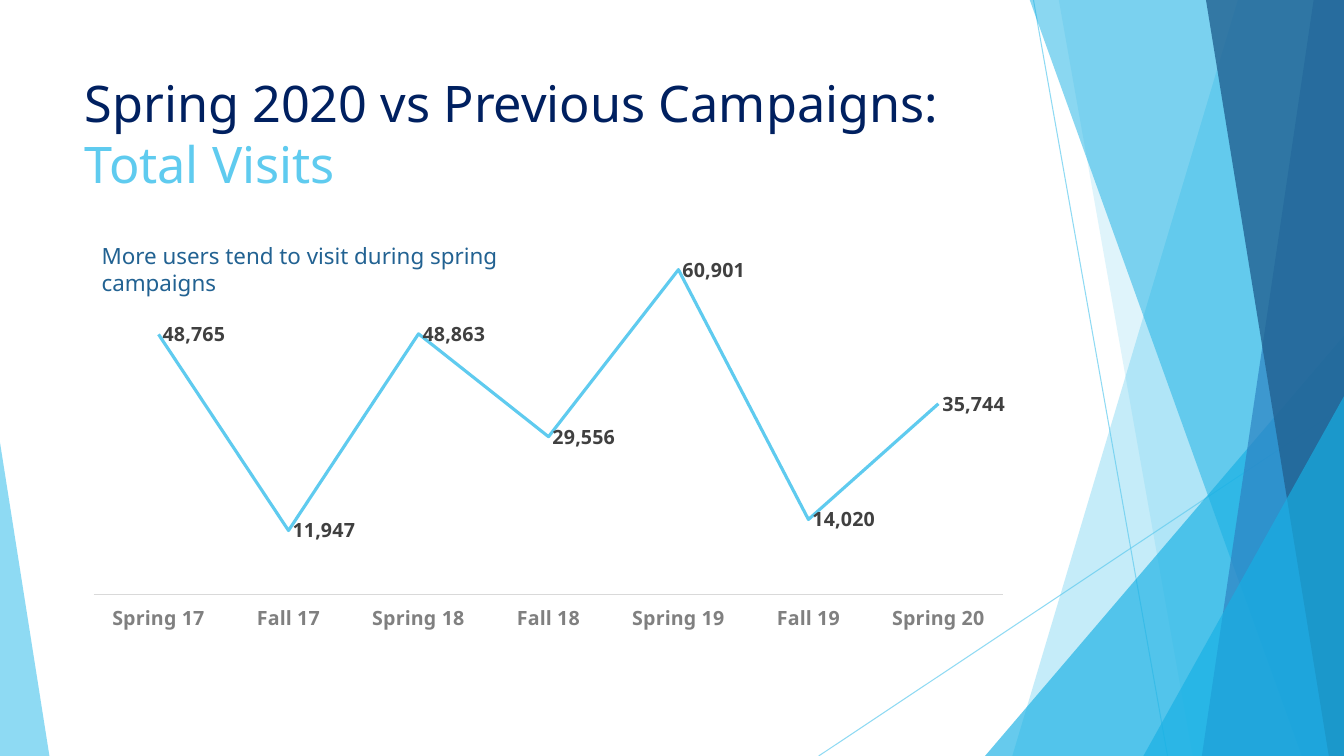
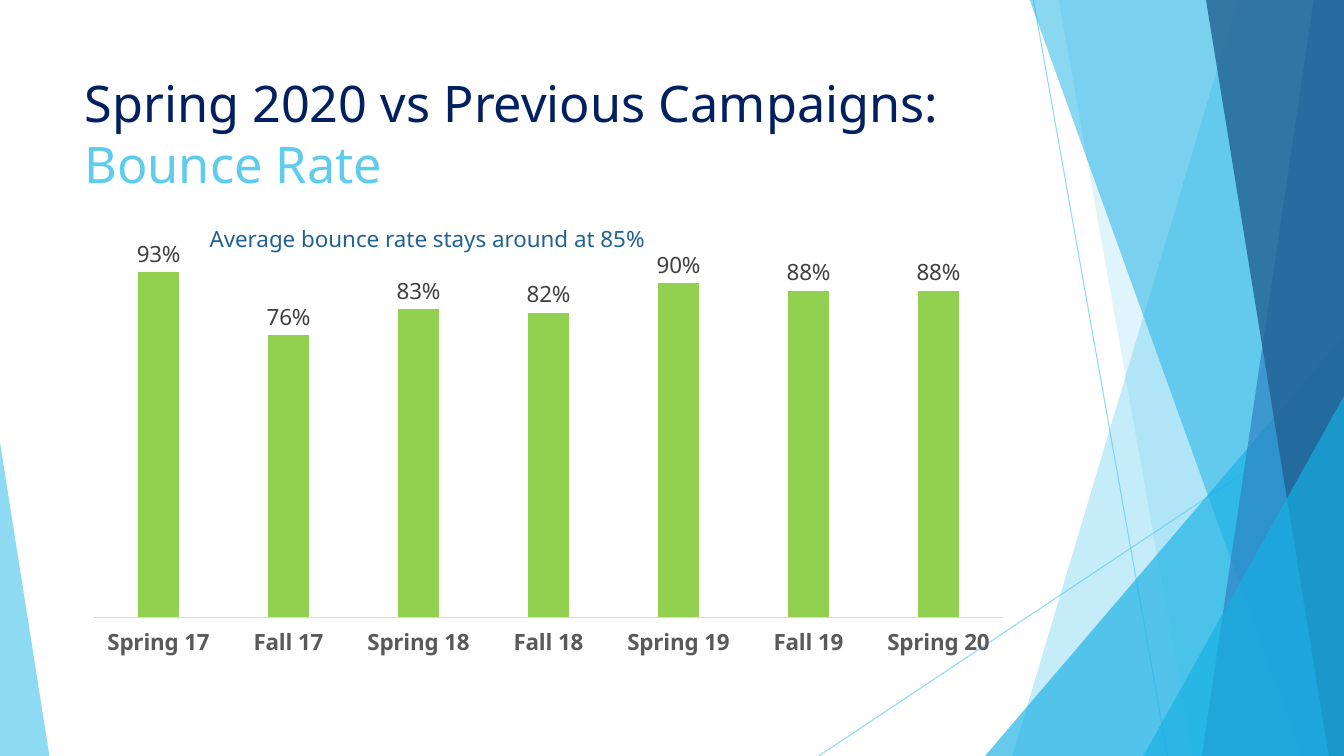
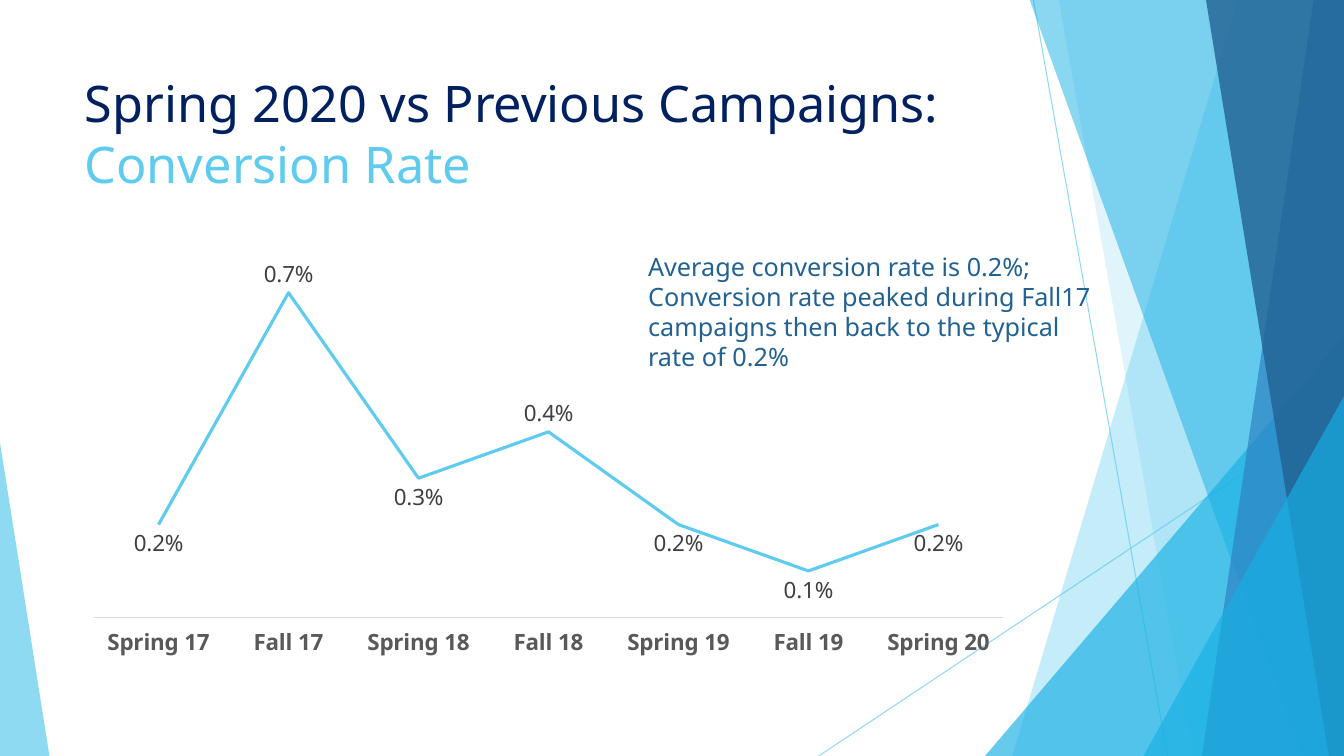
from lxml.etree import SubElement
from pptx import Presentation
from pptx.chart.data import CategoryChartData
from pptx.dml.color import RGBColor
from pptx.enum.chart import XL_CHART_TYPE, XL_LABEL_POSITION, XL_TICK_LABEL_POSITION, XL_TICK_MARK
from pptx.enum.shapes import MSO_CONNECTOR, MSO_SHAPE
from pptx.oxml.ns import qn
from pptx.util import Inches, Pt

FONT = "Noto Sans"
WHITE = RGBColor(0xFF, 0xFF, 0xFF)
NAVY = RGBColor(0x00, 0x20, 0x60)
SKY = RGBColor(0x5F, 0xCB, 0xEF)
CYAN = RGBColor(0x17, 0xB0, 0xE4)
BLUE = RGBColor(0x2E, 0x83, 0xC3)
DEEP_BLUE = RGBColor(0x22, 0x62, 0x92)
GREEN = RGBColor(0x92, 0xD0, 0x50)
LABEL_GRAY = RGBColor(0x40, 0x40, 0x40)
AXIS_GRAY = RGBColor(0x59, 0x59, 0x59)
LIGHT_AXIS_GRAY = RGBColor(0x80, 0x80, 0x80)
AXIS_LINE = RGBColor(0xD9, 0xD9, 0xD9)

WIDTH, HEIGHT, BAND_TOP = 13.33, 7.5, -0.01
CAMPAIGNS = ["Spring 17", "Fall 17", "Spring 18", "Fall 18", "Spring 19", "Fall 19", "Spring 20"]


def format_font(font, size, color, bold=False):
    """Apply the deck font with a size, colour and weight."""
    font.name, font.size, font.bold = FONT, Pt(size), bold
    font.color.rgb = color


def add_run(paragraph, text, size=16, color=DEEP_BLUE):
    """Add formatted text to a paragraph."""
    paragraph.line_spacing = Pt(size * 1.2)
    run = paragraph.add_run()
    run.text = text
    format_font(run.font, size, color)


def set_opacity(shape, percent):
    """Make the colours set so far on a shape translucent."""
    for color in shape._element.spPr.iter(qn("a:srgbClr")):
        SubElement(color, qn("a:alpha")).set("val", str(percent * 1000))


class Deck:
    """Hold the presentation style and the current slide."""

    def __init__(self):
        """Start an empty widescreen presentation."""
        self.presentation = Presentation()
        self.presentation.slide_width = Inches(WIDTH)
        self.presentation.slide_height = Inches(HEIGHT)
        self.slide = None

    def add_slide(self, subject):
        """Start a slide with the shared decoration and title."""
        self.slide = self.presentation.slides.add_slide(self.presentation.slide_layouts[6])
        self.slide.background.fill.solid()
        self.slide.background.fill.fore_color.rgb = WHITE
        self.decorate()
        paragraph = self.text_frame(0.74, 0.67, 9.4, 1.44).paragraphs[0]
        add_run(paragraph, "Spring 2020 vs Previous Campaigns:", size=36, color=NAVY)
        paragraph.add_line_break()
        add_run(paragraph, subject, size=36, color=SKY)

    def decorate(self):
        """Draw the translucent facets from back to front."""
        self.line(10.25, 0, 11.58, HEIGHT)
        self.line(WIDTH, 4.03, 8.12, HEIGHT)
        self.band(12.28, 10.04, SKY, 36)
        self.band(10.5, 11.83, SKY, 20)
        self.triangle(9.77, 3.33, 3.56, CYAN, 66)
        self.band(10.21, 12.91, CYAN, 50)
        self.band(13.03, 11.92, BLUE, 70)
        self.band(11.96, 13.18, DEEP_BLUE, 80)
        self.triangle(11.34, 3.93, 1.99, CYAN, 66)
        self.triangle(0, 4.39, 0.49, SKY, 70, apex=0)

    def line(self, *ends):
        """Draw a thin translucent line."""
        connector = self.slide.shapes.add_connector(MSO_CONNECTOR.STRAIGHT, *map(Inches, ends))
        connector.line.color.rgb = SKY
        connector.line.width = Pt(0.75)
        set_opacity(connector, 70)
        SubElement(connector._element.spPr, qn("a:effectLst"))

    def paint(self, shape, color, opacity):
        """Give a shape a flat translucent fill and no outline."""
        shape.shadow.inherit = False
        shape.fill.solid()
        shape.fill.fore_color.rgb = color
        set_opacity(shape, opacity)
        shape.line.fill.background()

    def band(self, top_left, bottom_left, color, opacity):
        """Draw a full-height band with a slanted left edge."""
        corners = [(WIDTH, BAND_TOP), (WIDTH, HEIGHT), (bottom_left, HEIGHT)]
        builder = self.slide.shapes.build_freeform(Inches(top_left), Inches(BAND_TOP))
        builder.add_line_segments([(Inches(x), Inches(y)) for x, y in corners], close=True)
        self.paint(builder.convert_to_shape(), color, opacity)

    def triangle(self, left, top, width, color, opacity, apex=1):
        """Draw a right triangle that stands on the slide bottom."""
        box = map(Inches, (left, top, width, HEIGHT - top))
        shape = self.slide.shapes.add_shape(MSO_SHAPE.ISOSCELES_TRIANGLE, *box)
        shape.adjustments[0] = apex
        self.paint(shape, color, opacity)

    def text_frame(self, *box):
        """Add a wrapping text box and return its frame."""
        frame = self.slide.shapes.add_textbox(*map(Inches, box)).text_frame
        frame.word_wrap = True
        return frame

    def note(self, lines, left, top, width, height, size=16):
        """Add a comment with one paragraph per line."""
        frame = self.text_frame(left, top, width, height)
        for index, text in enumerate(lines):
            paragraph = frame.add_paragraph() if index else frame.paragraphs[0]
            add_run(paragraph, text, size=size)

    def chart(self, kind, values, number_format, maximum, top=2.36, size=16,
              axis_color=AXIS_GRAY, bold_labels=False, position=None, raised=()):
        """Add a one-series campaign chart with value labels."""
        data = CategoryChartData(number_format=number_format)
        data.categories = CAMPAIGNS
        data.add_series("Series 1", values)
        box = map(Inches, (0.74, top, 9.4, 4.24))
        chart = self.slide.shapes.add_chart(kind, *box, data).chart
        chart.has_legend = chart.has_title = False
        chart.font.name, chart.font.size = FONT, Pt(10)

        chart.value_axis.visible = False
        chart.value_axis.has_major_gridlines = False
        chart.value_axis.minimum_scale, chart.value_axis.maximum_scale = 0, maximum
        axis = chart.category_axis
        axis.major_tick_mark = axis.minor_tick_mark = XL_TICK_MARK.NONE
        axis.tick_label_position = XL_TICK_LABEL_POSITION.LOW
        axis.format.line.color.rgb = AXIS_LINE
        axis.format.line.width = Pt(0.75)
        format_font(axis.tick_labels.font, size, axis_color, bold=True)

        plot = chart.plots[0]
        plot.vary_by_categories = False
        series = plot.series[0]
        if kind == XL_CHART_TYPE.LINE:
            series.smooth = False
            series.format.line.color.rgb = SKY
            series.format.line.width = Pt(2.25)
        else:
            plot.gap_width = 219
            series.format.fill.solid()
            series.format.fill.fore_color.rgb = GREEN

        labels = series.data_labels
        labels.show_value = True
        labels.number_format, labels.number_format_is_linked = number_format, False
        format_font(labels.font, size, LABEL_GRAY, bold=bold_labels)
        if position is not None:
            labels.position = position
        for index in raised:
            label = series.points[index].data_label
            format_font(label.font, size, LABEL_GRAY)
            label.position = XL_LABEL_POSITION.ABOVE


def main():
    """Build and save the campaign slides."""
    deck = Deck()

    deck.add_slide("Total Visits")
    deck.chart(XL_CHART_TYPE.LINE, [48765, 11947, 48863, 29556, 60901, 14020, 35744],
               "#,##0", 70000, top=2.11, size=14, axis_color=LIGHT_AXIS_GRAY,
               bold_labels=True, position=XL_LABEL_POSITION.RIGHT)
    deck.note(["More users tend to visit during spring campaigns"], 0.91, 2.35, 5.27, 0.37)

    deck.add_slide("Bounce Rate")
    deck.note(["Average bounce rate stays around at 85%"], 1.98, 2.18, 5.27, 0.37)
    deck.chart(XL_CHART_TYPE.COLUMN_CLUSTERED, [0.93, 0.76, 0.83, 0.82, 0.9, 0.88, 0.88],
               "0%", 1, position=XL_LABEL_POSITION.OUTSIDE_END)

    deck.add_slide("Conversion Rate")
    deck.note(["Average conversion rate is 0.2%;",
               "Conversion rate peaked during Fall17 campaigns then back to the typical rate of 0.2%"],
              6.33, 2.44, 4.6, 1.31, size=18)
    deck.chart(XL_CHART_TYPE.LINE, [0.002, 0.007, 0.003, 0.004, 0.002, 0.001, 0.002],
               "0.0%", 0.008, position=XL_LABEL_POSITION.BELOW, raised=(1, 3))

    deck.presentation.save("out.pptx")


main()
